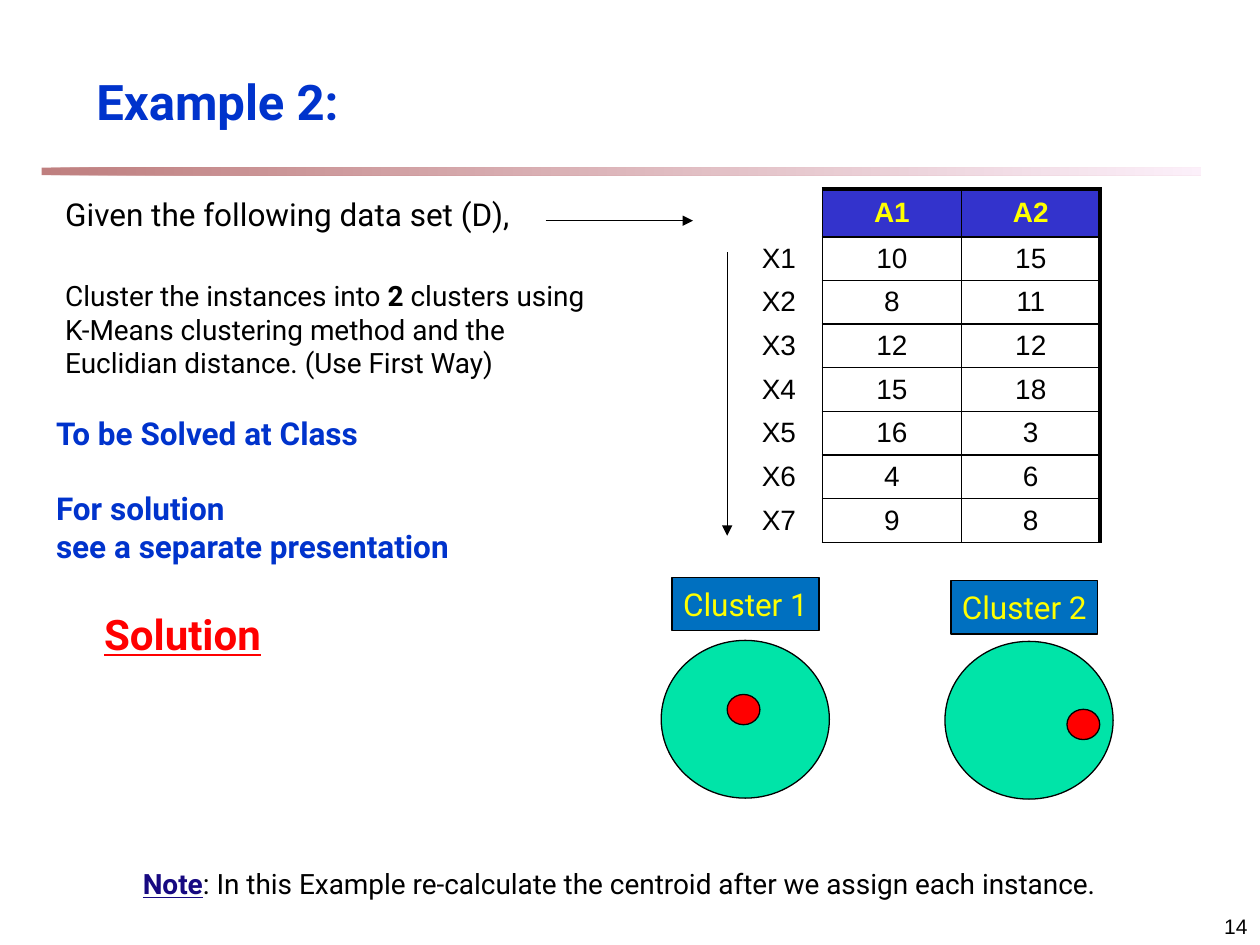
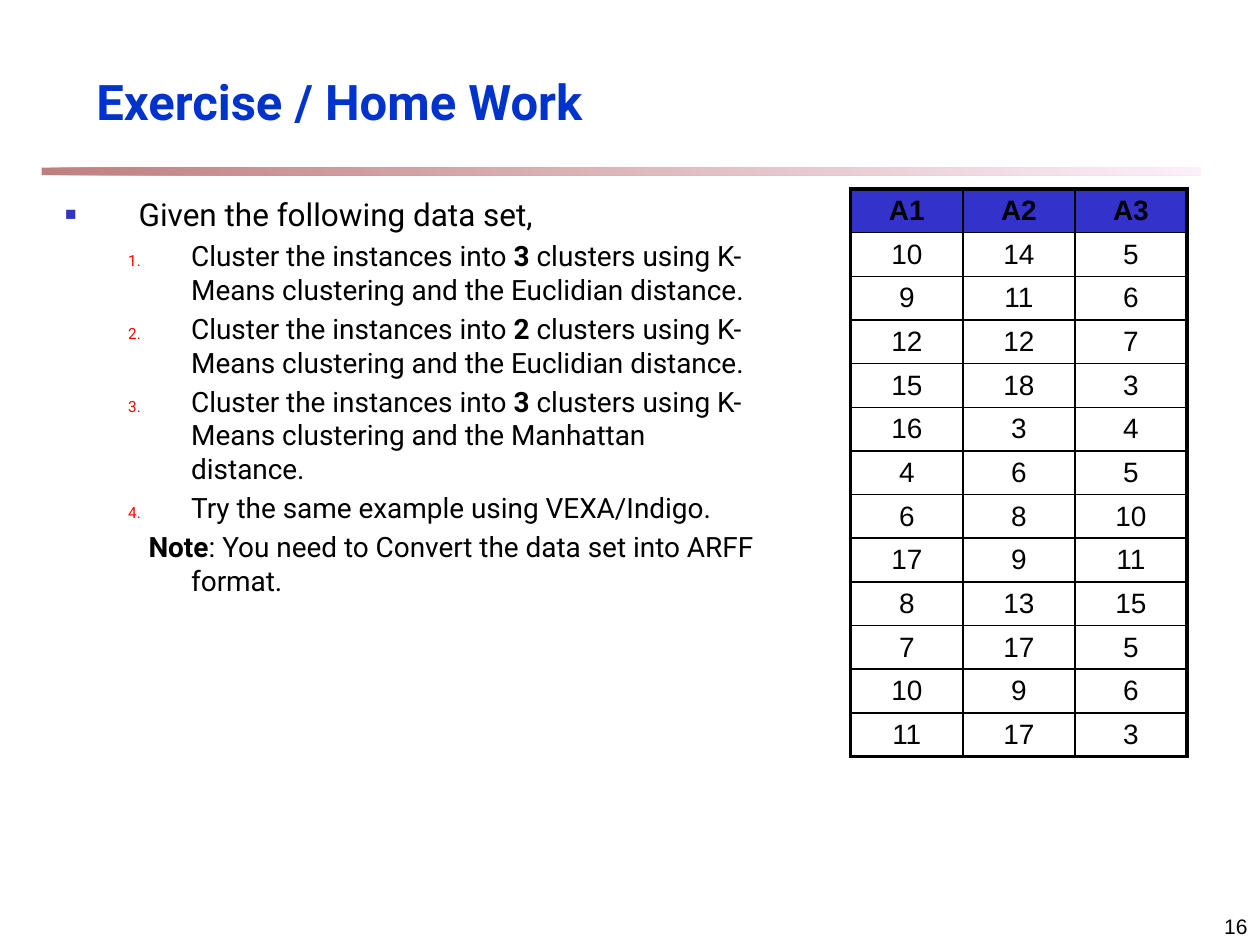
import lxml.etree
import pptx
import pptx.dml.color
import pptx.enum.dml
import pptx.enum.shapes
import pptx.enum.text
import pptx.oxml.ns
import pptx.util

Cm = pptx.util.Cm
Pt = pptx.util.Pt
ALIGN = pptx.enum.text.PP_ALIGN
ANCHOR = pptx.enum.text.MSO_ANCHOR
SHAPE = pptx.enum.shapes.MSO_SHAPE

COLORS = {
    "title": "0033CC",
    "text": "000000",
    "band_start": "800000",
    "band_end": "FAE2F6",
    "header": "3333CC",
    "yellow": "FFFF00",
    "note": "170981",
    "red": "FF0000",
    "cluster": "00E4A8",
    "label": "0070C0",
}
TEXT_FONT = "Roboto"
NUMBER_FONT = "Arial"
ROW_HEIGHT = 0.88
THIN, THICK = 1, 2.25

EXAMPLE_DATA = [
    ("", "A1", "A2"),
    ("X1", 10, 15), ("X2", 8, 11), ("X3", 12, 12), ("X4", 15, 18),
    ("X5", 16, 3), ("X6", 4, 6), ("X7", 9, 8),
]
EXERCISE_DATA = [
    ("A1", "A2", "A3"),
    (10, 14, 5), (9, 11, 6), (12, 12, 7), (15, 18, 3), (16, 3, 4), (4, 6, 5),
    (6, 8, 10), (17, 9, 11), (8, 13, 15), (7, 17, 5), (10, 9, 6), (11, 17, 3),
]
TASKS = [
    "Cluster the instances into *3* clusters using K-Means clustering and the Euclidian distance.",
    "Cluster the instances into *2* clusters using K-Means clustering and the Euclidian distance.",
    "Cluster the instances into *3* clusters using K-Means clustering and the Manhattan distance.",
    "Try the same example using VEXA/Indigo.",
]


def rgb(name):
    return pptx.dml.color.RGBColor.from_string(COLORS[name])


def add_xml(parent, tag, **attributes):
    return lxml.etree.SubElement(parent, pptx.oxml.ns.qn(tag), attributes)


def style(run, size, color="text", bold=False, font=TEXT_FONT):
    run.font.size = Pt(size)
    run.font.name = font
    run.font.bold = bold
    run.font.color.rgb = rgb(color)


def write(paragraph, text, size, color="text", bold=False, font=TEXT_FONT):
    """Fill the paragraph; parts between asterisks are bold."""
    for index, part in enumerate(text.split("*")):
        if part:
            run = paragraph.add_run()
            run.text = part
            style(run, size, color, bold or index % 2 == 1, font)


def indent(paragraph, left, first_line):
    properties = paragraph._p.get_or_add_pPr()
    properties.set("marL", str(Cm(left)))
    properties.set("indent", str(Cm(first_line)))
    return properties


def set_bullet(paragraph, tag, color=None, percent=100, **attributes):
    properties = paragraph._p.get_or_add_pPr()
    if color:
        add_xml(add_xml(properties, "a:buClr"), "a:srgbClr", val=COLORS[color])
        add_xml(properties, "a:buSzPct", val=str(percent * 1000))
        add_xml(properties, "a:buFont", typeface=NUMBER_FONT)
    add_xml(properties, tag, **attributes)


def place(shape, left, top, width, height):
    shape.left, shape.top = Cm(left), Cm(top)
    shape.width, shape.height = Cm(width), Cm(height)


def add_band(slide):
    band = slide.shapes.add_shape(SHAPE.RECTANGLE, Cm(0.84), Cm(3.38), Cm(23.37), Cm(0.15))
    band.shadow.inherit = False
    band.line.fill.background()
    band.fill.gradient()
    band.fill.gradient_angle = 0
    for stop, color in zip(band.fill.gradient_stops, ("band_start", "band_end")):
        stop.color.rgb = rgb(color)
    for color in band._element.spPr.iter(pptx.oxml.ns.qn("a:srgbClr")):
        add_xml(color, "a:alpha", val="50000")


def add_text(slide, lines, box, size, color="text", bold=False, align=ALIGN.LEFT, font=TEXT_FONT):
    frame = slide.shapes.add_textbox(*map(Cm, box)).text_frame
    frame.word_wrap = True
    for index, line in enumerate(lines):
        paragraph = frame.add_paragraph() if index else frame.paragraphs[0]
        paragraph.alignment = align
        write(paragraph, line, size, color, bold, font)
    return frame


def add_base_slide(deck, title, number, body_box):
    """Add a slide with band, title and page number; return it and its body frame."""
    slide = deck.slides.add_slide(deck.slide_layouts[1])
    add_band(slide)
    place(slide.shapes.title, 1.69, 1.06, 21.64, 1.69)
    heading = slide.shapes.title.text_frame
    heading.text = title
    heading.vertical_anchor = ANCHOR.BOTTOM
    heading.paragraphs[0].alignment = ALIGN.LEFT
    style(heading.paragraphs[0].runs[0], 28, "title", True)
    page = add_text(slide, [str(number)], (20.11, 17.99, 5.29, 1.06), 12,
                    align=ALIGN.RIGHT, font=NUMBER_FONT)
    page.vertical_anchor = ANCHOR.BOTTOM
    place(slide.placeholders[1], *body_box)
    body = slide.placeholders[1].text_frame
    body.auto_size = pptx.enum.text.MSO_AUTO_SIZE.NONE
    return slide, body


def set_borders(cell, weights):
    """Draw the given sides (L, R, T, B) with the given weights in points."""
    properties = cell._tc.get_or_add_tcPr()
    for position, side in enumerate(s for s in "LRTB" if s in weights):
        line = add_xml(properties, f"a:ln{side}", w=str(Pt(weights[side])))
        add_xml(add_xml(line, "a:solidFill"), "a:srgbClr", val=COLORS["text"])
        properties.insert(position, line)


def add_data_table(slide, rows, left, column_widths, header_color, thick_sides, labelled=False):
    """Draw the data; a labelled table has a frameless first column of row names."""
    last_row, last_column = len(rows) - 1, len(column_widths) - 1
    table = slide.shapes.add_table(
        len(rows), len(column_widths), Cm(left), Cm(3.81),
        Cm(sum(column_widths)), Cm(ROW_HEIGHT * len(rows))).table
    table.first_row = table.horz_banding = False
    for column, width in zip(table.columns, column_widths):
        column.width = Cm(width)
    for r, values in enumerate(rows):
        table.rows[r].height = Cm(ROW_HEIGHT)
        for c, value in enumerate(values):
            cell = table.cell(r, c)
            is_label = labelled and c == 0
            is_header = r == 0 and not is_label
            cell.margin_top = cell.margin_bottom = Cm(0.1)
            cell.vertical_anchor = ANCHOR.MIDDLE
            paragraph = cell.text_frame.paragraphs[0]
            paragraph.alignment = ALIGN.CENTER
            write(paragraph, str(value), 16, header_color if is_header else "text",
                  is_header, NUMBER_FONT)
            if is_header:
                cell.fill.solid()
                cell.fill.fore_color.rgb = rgb("header")
            else:
                cell.fill.background()
            if is_label:
                set_borders(cell, {"R": THIN})
                continue
            at_edge = {"L": c == 0, "R": c == last_column, "T": r == 0, "B": r == last_row}
            set_borders(cell, {side: THICK if edge and side in thick_sides else THIN
                               for side, edge in at_edge.items()})


def add_arrow(slide, *ends):
    arrow = slide.shapes.add_connector(
        pptx.enum.shapes.MSO_CONNECTOR.STRAIGHT, *map(Cm, ends))
    arrow.line.color.rgb = rgb("text")
    arrow.line.width = Pt(0.75)
    add_xml(arrow.line._get_or_add_ln(), "a:tailEnd", type="triangle")
    add_xml(arrow._element.spPr, "a:effectLst")


def add_outlined(slide, preset, box, color):
    shape = slide.shapes.add_shape(preset, *map(Cm, box))
    shape.shadow.inherit = False
    shape.fill.solid()
    shape.fill.fore_color.rgb = rgb(color)
    shape.line.color.rgb = rgb("text")
    shape.line.width = Pt(0.75)
    return shape


def add_cluster(slide, name, label_at, circle_at, centroid_at):
    add_outlined(slide, SHAPE.OVAL, (*circle_at, 3.39, 3.18), "cluster")
    label = add_outlined(slide, SHAPE.RECTANGLE, (*label_at, 2.96, 1.07), "label").text_frame
    label.word_wrap = False
    label.vertical_anchor = ANCHOR.MIDDLE
    label.paragraphs[0].alignment = ALIGN.CENTER
    write(label.paragraphs[0], name, 18, "yellow")
    add_outlined(slide, SHAPE.OVAL, (*centroid_at, 0.66, 0.61), "red")


def add_example(deck):
    slide, body = add_base_slide(deck, "Example 2:", 14, (1.06, 3.81, 11.43, 4.87))
    given, task = body.paragraphs[0], body.add_paragraph()
    write(given, "Given the following data set (D),", 18)
    write(task, "Cluster the instances into *2* clusters using K-Means clustering method "
                "and the Euclidian distance. (Use First Way)", 16)
    task.space_before = Pt(26)
    for paragraph in (given, task):
        indent(paragraph, 0, 0)
        set_bullet(paragraph, "a:buNone")

    add_data_table(slide, EXAMPLE_DATA, 14.82, (1.76, 2.8, 2.8), "yellow", "TR", labelled=True)
    add_arrow(slide, 11, 4.45, 13.97, 4.45)
    add_arrow(slide, 14.66, 5.08, 14.66, 10.8)

    hint = add_text(slide, ["To be Solved at Class", "For solution", "see a separate presentation"],
                    (0.88, 8.23, 9.47, 3.33), 18, "title", True)
    hint.paragraphs[1].space_before = Pt(21)
    solution = add_text(slide, ["Solution"], (1.85, 12.14, 4.09, 1.27), 24, "red", True)
    solution.paragraphs[0].runs[0].font.underline = True

    add_cluster(slide, "Cluster 1", (13.55, 11.64), (13.33, 12.91), (14.66, 14))
    add_cluster(slide, "Cluster 2", (19.17, 11.71), (19.05, 12.93), (21.51, 14.3))

    note = add_text(
        slide,
        ["*Note*: In this Example re-calculate the centroid after we assign each instance."],
        (1.9, 17.35, 21.17, 0.94), 16, align=ALIGN.CENTER)
    note_word = note.paragraphs[0].runs[0]
    note_word.font.underline = True
    note_word.font.color.rgb = rgb("note")


def add_exercise(deck):
    slide, body = add_base_slide(deck, "Exercise / Home Work", 16, (1.06, 3.81, 14.61, 11.01))
    given = body.paragraphs[0]
    write(given, "Given the following data set,", 18)
    indent(given, 1.48, -1.48)
    set_bullet(given, "a:buChar", "header", 60, char="■")
    for task in TASKS:
        paragraph = body.add_paragraph()
        paragraph.level = 1
        write(paragraph, task, 16)
        indent(paragraph, 2.54, -1.27)
        set_bullet(paragraph, "a:buAutoNum", "red", 55, type="arabicPeriod")
    note = body.add_paragraph()
    note.level = 1
    write(note, "*Note*: You need to Convert the data set into ARFF format.", 16)
    indent(note, 2.54, -0.86)
    set_bullet(note, "a:buNone")
    add_data_table(slide, EXERCISE_DATA, 17.15, (2.26,) * 3, "text", "LRTB")


def main():
    deck = pptx.Presentation()
    deck.slide_width, deck.slide_height = Cm(25.4), Cm(19.05)
    add_example(deck)
    add_exercise(deck)
    deck.save("out.pptx")


if __name__ == "__main__":
    main()
